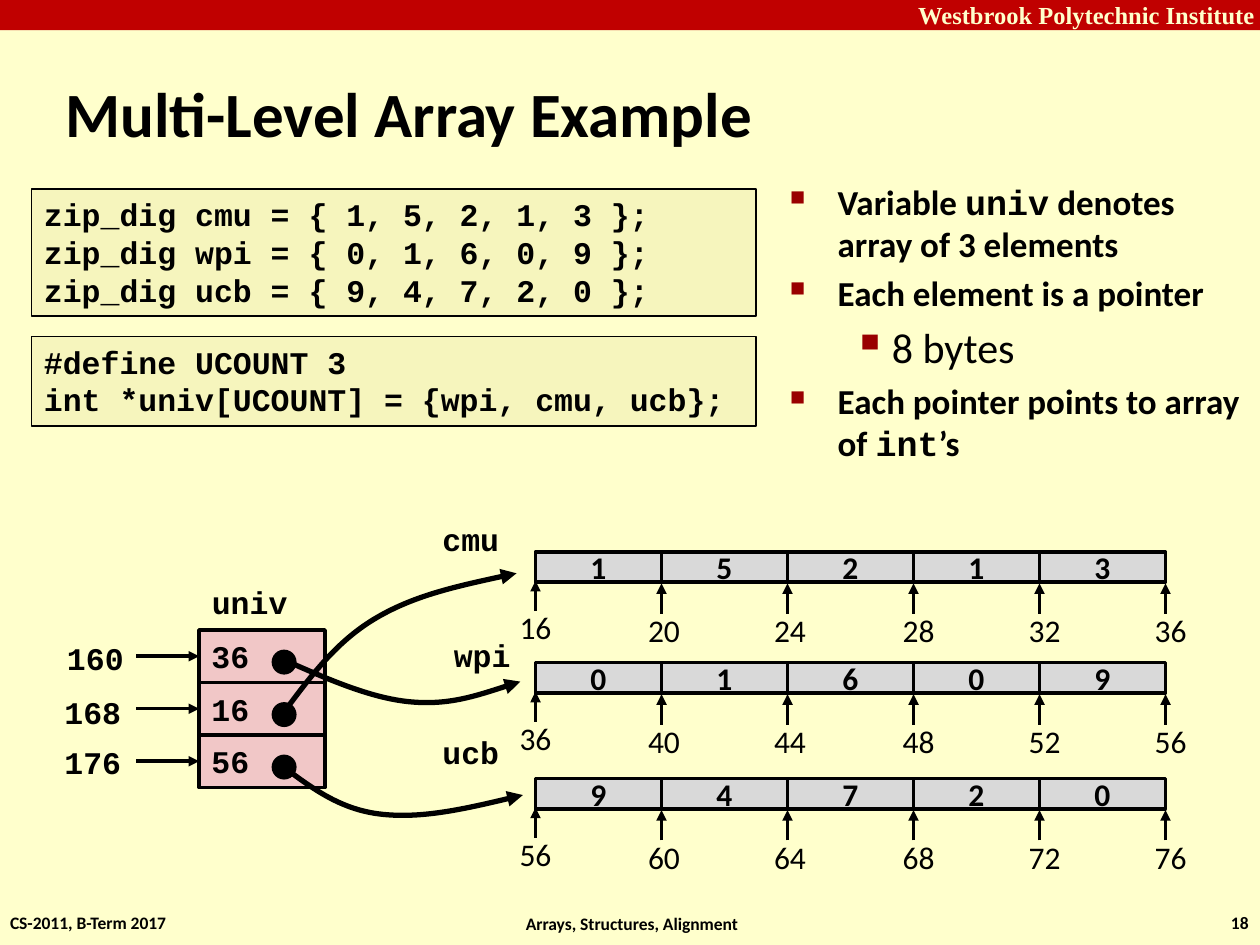
from lxml import etree
from pptx import Presentation
from pptx.dml.color import RGBColor
from pptx.enum.shapes import MSO_CONNECTOR, MSO_SHAPE
from pptx.enum.text import MSO_ANCHOR, MSO_AUTO_SIZE, PP_ALIGN
from pptx.oxml.ns import qn
from pptx.util import Inches, Pt

RECT, OVAL = MSO_SHAPE.RECTANGLE, MSO_SHAPE.OVAL
STRAIGHT = MSO_CONNECTOR.STRAIGHT
LEFT, CENTER, RIGHT = PP_ALIGN.LEFT, PP_ALIGN.CENTER, PP_ALIGN.RIGHT
TOP, MIDDLE, BOTTOM = MSO_ANCHOR.TOP, MSO_ANCHOR.MIDDLE, MSO_ANCHOR.BOTTOM
NO_FIT = MSO_AUTO_SIZE.NONE

CREAM = RGBColor(0xFF, 0xFF, 0xCC)
RED = RGBColor(0xC0, 0x00, 0x00)
BLACK = RGBColor(0x00, 0x00, 0x00)
CODE_FILL = RGBColor(0xF6, 0xF5, 0xBD)
PINK = RGBColor(0xF1, 0xC7, 0xC7)
GRAY = RGBColor(0xD9, 0xD9, 0xD9)
BULLET_RED = RGBColor(0x99, 0x00, 0x00)

SANS, MONO, SERIF = "Calibri", "Courier New", "Times New Roman"
INSETS = (0.1, 0.05, 0.1, 0.05)
NO_INSETS = (0, 0, 0, 0)

CODE_BLOCKS = [
    (1.5, 1.01, "zip_dig cmu = { 1, 5, 2, 1, 3 };\n"
                "zip_dig wpi = { 0, 1, 6, 0, 9 };\n"
                "zip_dig ucb = { 9, 4, 7, 2, 0 };"),
    (2.67, 0.71, "#define UCOUNT 3\nint *univ[UCOUNT] = {wpi, cmu, ucb};"),
]
BULLETS = [
    ("Variable `univ` denotes array of 3 elements", 0),
    ("Each element is a pointer", 0),
    ("8 bytes", 1),
    ("Each pointer points to array of `int`’s", 0),
]
BULLET_LEVELS = [
    dict(size=20, bold=True, before=4, margin=0.38, indent=-0.38, char="■", scale=60),
    dict(size=24, bold=False, before=5, margin=0.81, indent=-0.31, char="▪", scale=110),
]
POINTERS = [
    ("160", 0.43, 5.02, "36"),
    ("168", 0.41, 5.45, "16"),
    ("176", 0.41, 5.85, "56"),
]
ARRAYS = [
    ("cmu", 3.41, 4.08, 4.38, 16, "15213"),
    ("wpi", 3.5, 5, 5.26, 36, "01609"),
    ("ucb", 3.41, 5.77, 6.18, 56, "94720"),
]
ADDRESS_CENTERS = [4.25, 5.27, 6.27, 7.29, 8.29, 9.29]
CURVES = [
    [(2.24, 5.67), (2.45, 5.39), (2.65, 5.11), (2.96, 4.92),
     (3.27, 4.73), (3.68, 4.64), (4.1, 4.55)],
    [(2.26, 5.24), (2.6, 5.39), (2.94, 5.54), (3.25, 5.57),
     (3.56, 5.6), (3.85, 5.5), (4.13, 5.41)],
    [(2.24, 6.08), (2.47, 6.25), (2.69, 6.42), (3.01, 6.46),
     (3.33, 6.5), (3.74, 6.41), (4.15, 6.31)],
]


def add_runs(p, text, size=18, font=MONO, color=BLACK, bold=True):
    for i, part in enumerate(text.split("`")):
        if part:
            r = p.add_run()
            r.text = part
            r.font.name = MONO if i % 2 else font
            r.font.size = Pt(size)
            r.font.bold = bold
            r.font.color.rgb = color


def write(sp, text, align=LEFT, anchor=TOP, insets=INSETS, wrap=True, **fmt):
    tf = sp.text_frame
    tf.auto_size = NO_FIT
    tf.word_wrap = wrap
    tf.vertical_anchor = anchor
    tf.margin_left, tf.margin_top, tf.margin_right, tf.margin_bottom = map(Inches, insets)
    for i, line in enumerate(text.split("\n")):
        p = tf.add_paragraph() if i else tf.paragraphs[0]
        p.alignment = align
        add_runs(p, line, **fmt)


def add_label(s, box, text, **fmt):
    write(s.shapes.add_textbox(*map(Inches, box)), text, **fmt)


def add_box(s, kind, box, fill, width=None):
    sp = s.shapes.add_shape(kind, *map(Inches, box))
    sp.shadow.inherit = False
    sp.fill.solid()
    sp.fill.fore_color.rgb = fill
    if width:
        sp.line.color.rgb = BLACK
        sp.line.width = Pt(width)
    else:
        sp.line.fill.background()
    return sp


def style_arrow(sp, width):
    sp.line.color.rgb = BLACK
    sp.line.width = Pt(width)
    sp_pr = sp._element.spPr
    etree.SubElement(sp_pr.find(qn("a:ln")), qn("a:tailEnd"), type="triangle")
    if sp_pr.find(qn("a:effectLst")) is None:
        etree.SubElement(sp_pr, qn("a:effectLst"))


def add_arrow(s, x1, y1, x2, y2, target=None):
    c = s.shapes.add_connector(STRAIGHT, *map(Inches, (x1, y1, x2, y2)))
    if target is not None:
        c.end_connect(target, 1)
    style_arrow(c, 2)


def add_curve(s, points):
    start, *rest = [(Inches(x), Inches(y)) for x, y in points]
    builder = s.shapes.build_freeform(*start)
    builder.add_line_segments(rest, close=False)
    sp = builder.convert_to_shape()
    sp.shadow.inherit = False
    sp.fill.background()
    segments = list(sp._element.iter(qn("a:lnTo")))
    outline = segments[0].getparent()
    for i in range(0, len(segments), 3):
        bezier = etree.SubElement(outline, qn("a:cubicBezTo"))
        for segment in segments[i:i + 3]:
            bezier.append(segment[0])
            outline.remove(segment)
    style_arrow(sp, 3)


def add_bullets(s, box):
    tf = s.shapes.add_textbox(*map(Inches, box)).text_frame
    tf.word_wrap = True
    for i, (text, level) in enumerate(BULLETS):
        look = BULLET_LEVELS[level]
        p = tf.add_paragraph() if i else tf.paragraphs[0]
        p.level = level
        p.space_before = Pt(look["before"])
        add_runs(p, text, size=look["size"], font=SANS, bold=look["bold"])
        p_pr = p._p.get_or_add_pPr()
        p_pr.set("marL", str(Inches(look["margin"])))
        p_pr.set("indent", str(Inches(look["indent"])))
        color = etree.SubElement(p_pr, qn("a:buClr"))
        etree.SubElement(color, qn("a:srgbClr"), val=str(BULLET_RED))
        etree.SubElement(p_pr, qn("a:buSzPct"), val=str(look["scale"] * 1000))
        etree.SubElement(p_pr, qn("a:buChar"), char=look["char"])


def add_pointer_table(s):
    for i, (address, x, y, value) in enumerate(POINTERS):
        top = 5 + i * 5 / 12
        cell = add_box(s, RECT, (1.58, top, 1, 5 / 12), PINK, 2)
        write(cell, value, anchor=MIDDLE)
        add_arrow(s, 1.08, top + 5 / 24, 1.58, top + 5 / 24, cell)
        add_label(s, (x, y, 0.65, 0.4), address, align=RIGHT, wrap=False)
        add_box(s, OVAL, (2.17, top + 0.17, 0.17, 0.17), BLACK, 2)
    add_label(s, (1.58, 4.58, 0.8, 0.4), "univ", align=RIGHT, wrap=False)


def add_array(s, name, x, y, top, address, digits):
    add_label(s, (x, y, 0.65, 0.4), name, align=RIGHT, wrap=False)
    for i, digit in enumerate(digits):
        cell = add_box(s, RECT, (4.25 + i, top, 1, 0.24), GRAY, 2)
        write(cell, digit, align=CENTER, anchor=MIDDLE, font=SANS)
    for i, center in enumerate(ADDRESS_CENTERS):
        drop = 0 if i else -0.02
        add_label(s, (center - 0.54, top + 0.42 + drop, 1.08, 0.4), str(address + 4 * i),
                  align=CENTER, font=SANS, bold=False)
        add_arrow(s, 4.25 + i, top + 0.49 + drop, 4.25 + i, top + 0.25 + drop)


def add_title(s, text):
    title = s.shapes.title
    title.left, title.top, title.width, title.height = map(Inches, (0.42, 0.58, 7.78, 0.63))
    write(title, text, anchor=MIDDLE, size=36, font=SANS)


def add_footer(s):
    for x, width, text, align, anchor, insets in [
        (0.08, 1.28, "CS-2011, B-Term 2017", LEFT, MIDDLE, NO_INSETS),
        (4.61, 0.77, "Arrays, Structures, Alignment", CENTER, BOTTOM, (0.04, 0, 0, 0)),
        (9.74, 0.17, "18", RIGHT, MIDDLE, NO_INSETS),
    ]:
        add_label(s, (x, 7.24, width, 0.17), text, align=align, anchor=anchor,
                  insets=insets, wrap=False, size=10, font=SANS)


def main():
    prs = Presentation()
    prs.slide_width, prs.slide_height = Inches(10), Inches(7.5)
    s = prs.slides.add_slide(prs.slide_layouts[5])
    s.background.fill.solid()
    s.background.fill.fore_color.rgb = CREAM
    banner = add_box(s, RECT, (0, 0, 10, 0.24), RED)
    write(banner, "Westbrook Polytechnic Institute", align=RIGHT, anchor=MIDDLE,
          insets=(0, 0, 0.04, 0), size=14, font=SERIF, color=CREAM)
    add_title(s, "Multi-Level Array Example")
    add_bullets(s, (6.17, 1.38, 3.83, 2.5))
    for top, height, code in CODE_BLOCKS:
        write(add_box(s, RECT, (0.25, top, 5.75, height), CODE_FILL, 1), code)
    add_pointer_table(s)
    for array in ARRAYS:
        add_array(s, *array)
    for points in CURVES:
        add_curve(s, points)
    add_footer(s)
    prs.save("out.pptx")


if __name__ == "__main__":
    main()
